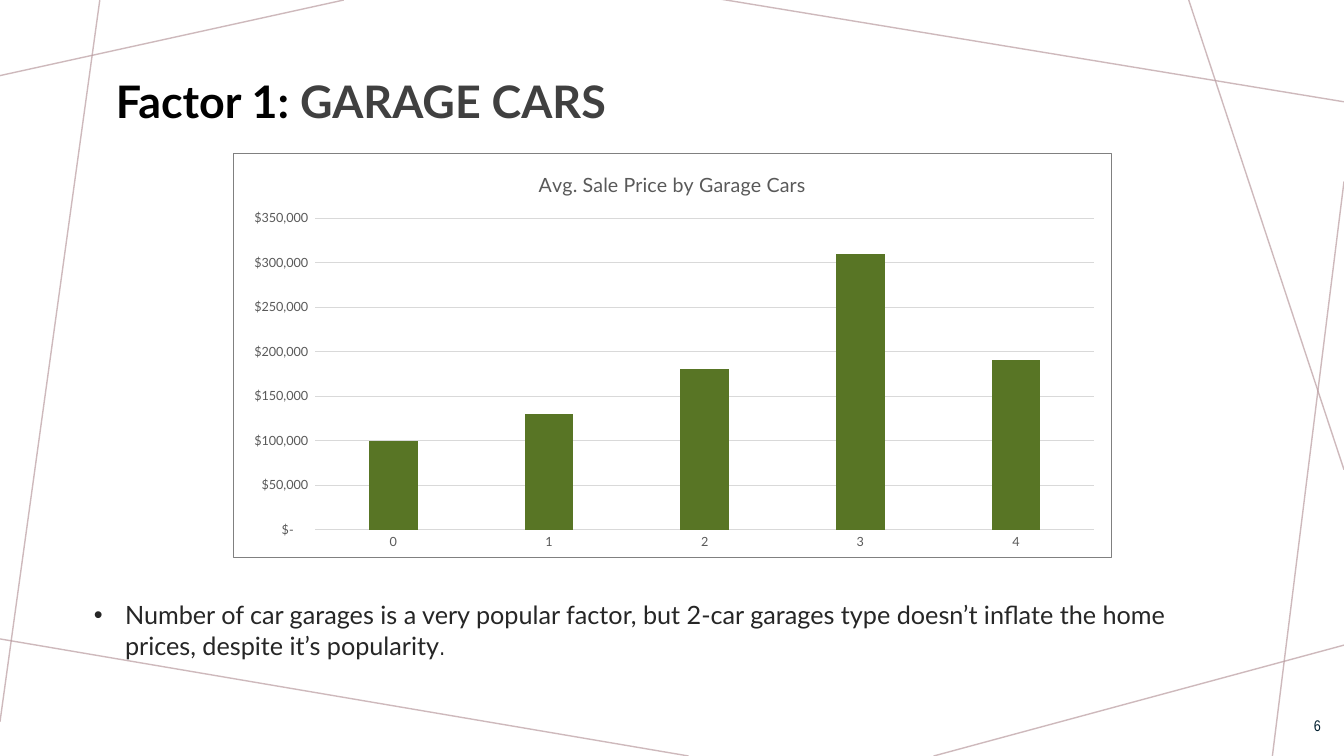
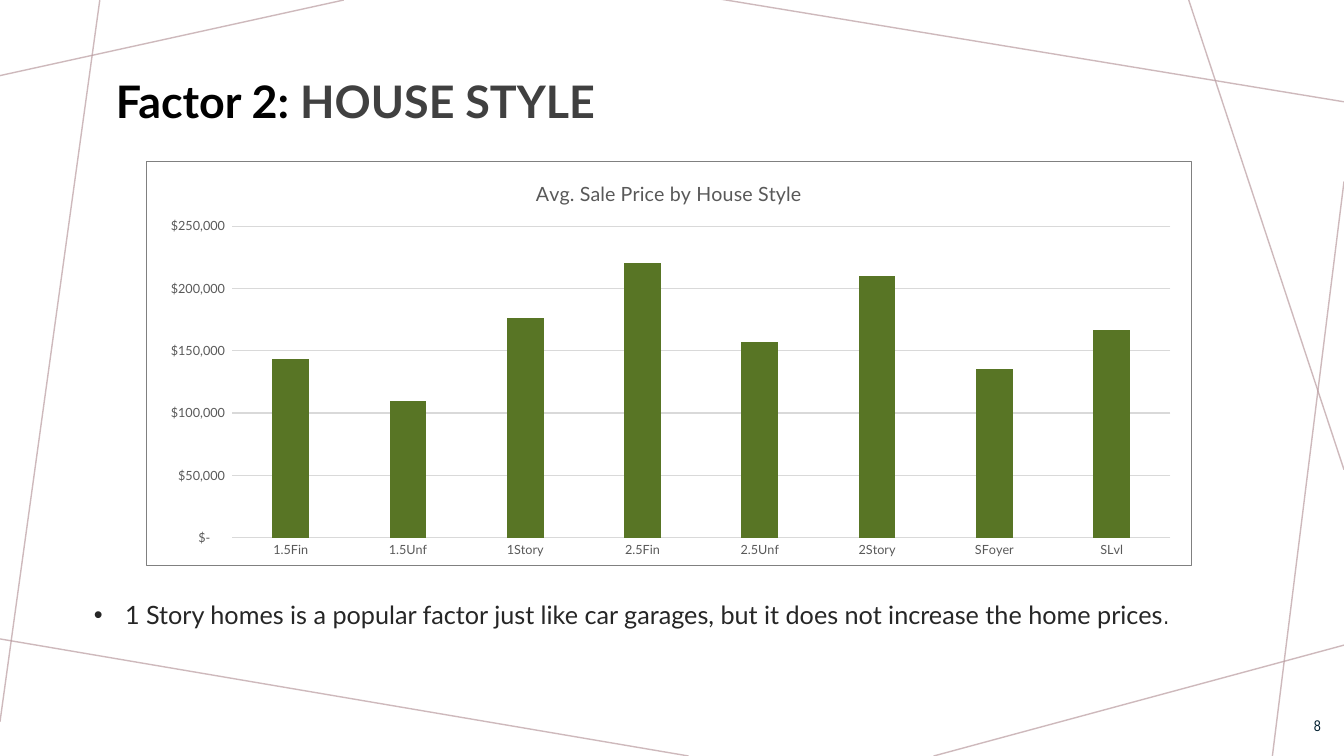
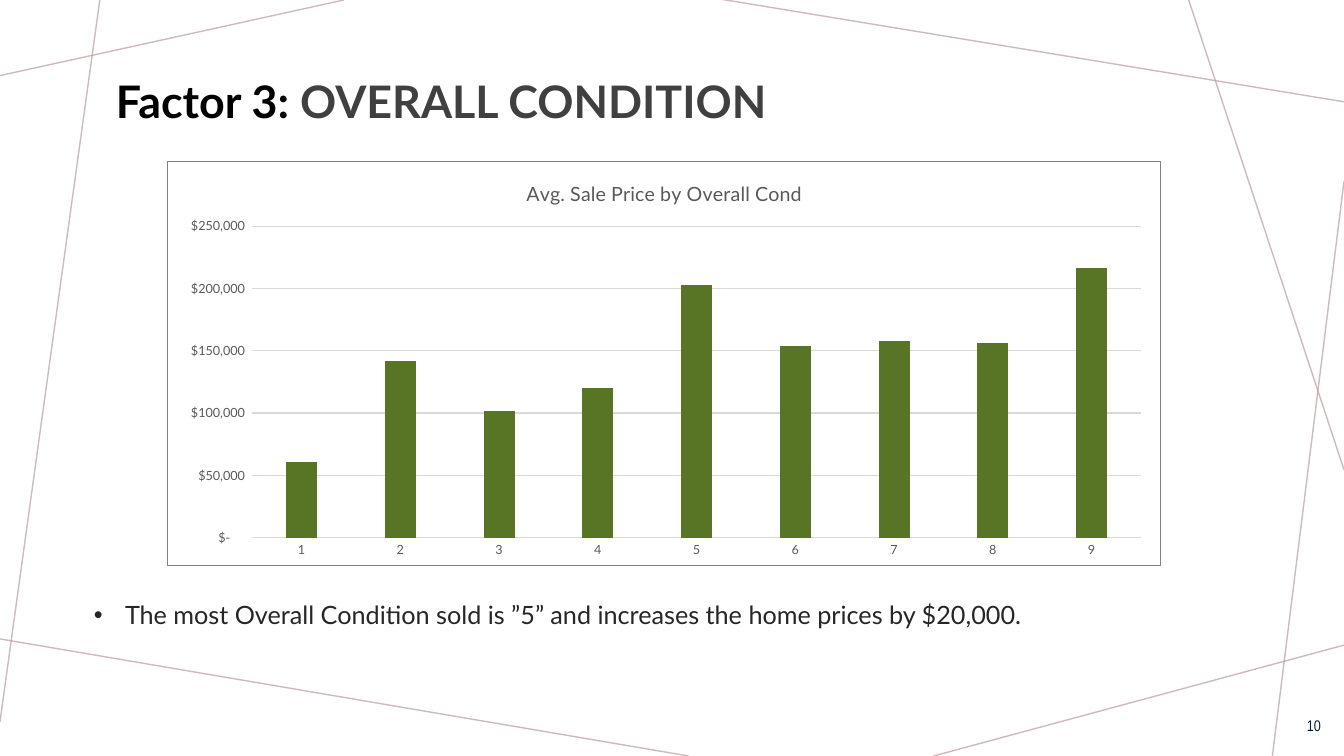
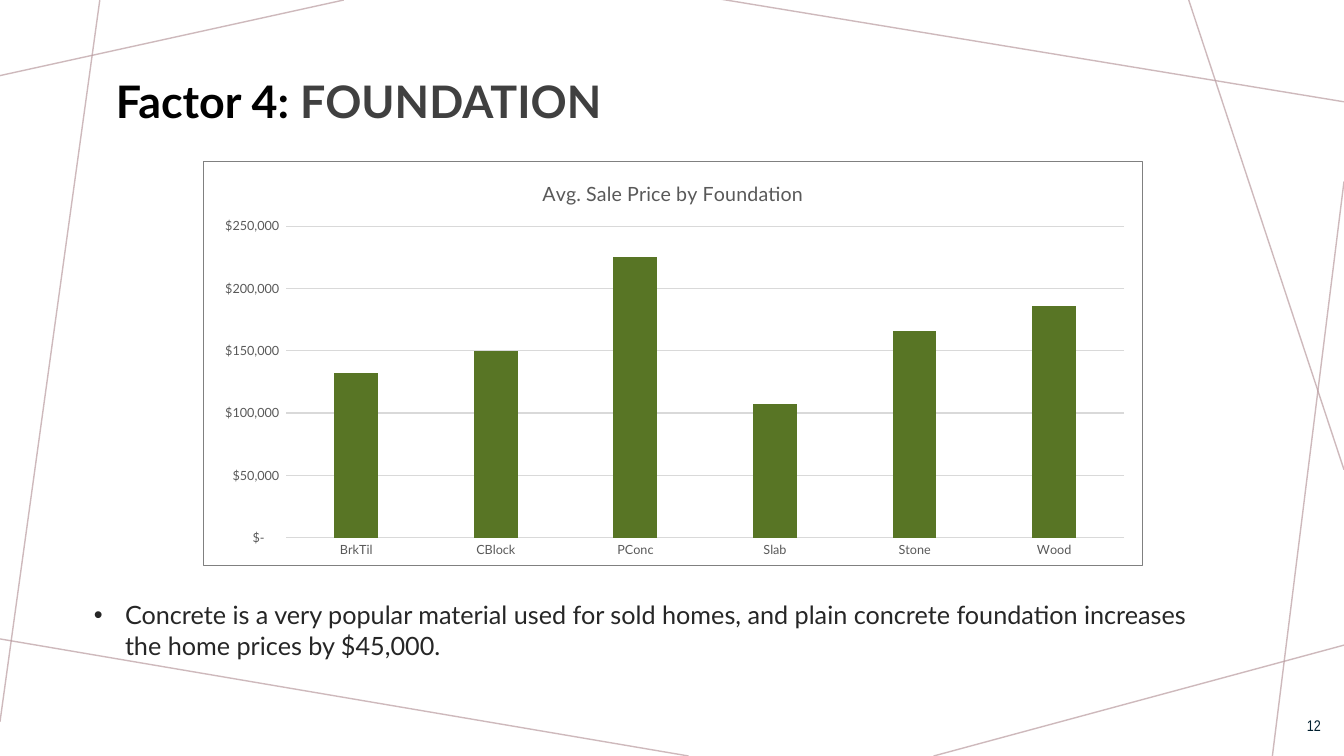
from math import ceil

from lxml.etree import SubElement
from pptx import Presentation
from pptx.chart.data import CategoryChartData
from pptx.dml.color import RGBColor
from pptx.enum.chart import XL_CHART_TYPE, XL_TICK_MARK
from pptx.enum.shapes import MSO_CONNECTOR
from pptx.enum.text import MSO_ANCHOR, MSO_AUTO_SIZE, PP_ALIGN
from pptx.oxml import parse_xml
from pptx.oxml.ns import nsdecls, qn
from pptx.util import Inches, Pt

COLORS = {
    "line": "BA9CA0", "black": "000000", "topic": "404040", "body": "262626",
    "number": "001E2E", "bar": "587525", "label": "595959", "grid": "D9D9D9",
    "border": "808080", "white": "FFFFFF",
}
FONT = "Lato"
NARROW_FONT = "Arial Narrow"
PRICE_FORMAT = '_("$"* #,##0_);_("$"* \\(#,##0\\);_("$"* "-"??_);_(@_)'
PRICE_STEP = 50000
CHART_HEIGHT = 4.02
BACKGROUND_LINES = [
    (3.41, 0, 0, 0.75), (0.99, 0, 0, 7.16), (6.83, 7.5, -0.05, 6.33),
    (13.33, 6.4, 9.26, 7.5), (13.33, 1.8, 12.62, 7.5),
    (13.33, 4.66, 11.79, 0), (13.33, 1.01, 7.14, -0.01),
]
FACTORS = [
    {"topic": "GARAGE CARS", "chart": "Garage Cars", "box": (2.31, 1.52, 8.72),
     "prices": {"0": 100000, "1": 130000, "2": 180000, "3": 310000, "4": 190000},
     "note": "Number of car garages is a very popular factor, but 2-car garages type "
             "doesn’t inflate the home prices, despite it’s popularity",
     "narrow_end": "."},
    {"topic": "HOUSE STYLE", "chart": "House Style", "box": (1.45, 1.6, 10.37),
     "prices": {"1.5Fin": 143000, "1.5Unf": 110000, "1Story": 176000, "2.5Fin": 220000,
                "2.5Unf": 157000, "2Story": 210000, "SFoyer": 135000, "SLvl": 167000},
     "note": "1 Story homes is a popular factor just like car garages, but it does not "
             "increase the home prices",
     "narrow_end": "."},
    {"topic": "OVERALL CONDITION", "chart": "Overall Cond", "box": (1.66, 1.6, 9.86),
     "prices": {"1": 61000, "2": 142000, "3": 102000, "4": 120000, "5": 203000,
                "6": 154000, "7": 158000, "8": 156000, "9": 216000},
     "note": "The most Overall Condition sold is ”5” and increases the home prices "
             "by $20,000."},
    {"topic": "FOUNDATION", "chart": "Foundation", "box": (2.01, 1.6, 9.33),
     "prices": {"BrkTil": 132000, "CBlock": 150000, "PConc": 225000,
                "Slab": 107000, "Stone": 166000, "Wood": 186000},
     "note": "Concrete is a very popular material used for sold homes, and plain concrete "
             "foundation increases the home prices by $45,000."},
]


def rgb(name):
    """Return the named colour."""
    return RGBColor.from_string(COLORS[name])


def style_font(font, size, color, name=FONT, bold=False):
    """Set face, size, colour and weight of a font."""
    font.name, font.size, font.bold = name, Pt(size), bold
    font.color.rgb = rgb(color)


def place(sp, left, top, width, height, anchor=MSO_ANCHOR.TOP):
    """Move a text shape and return its wrapped text frame."""
    sp.left, sp.top = Inches(left), Inches(top)
    sp.width, sp.height = Inches(width), Inches(height)
    tf = sp.text_frame
    tf.word_wrap, tf.auto_size = True, MSO_AUTO_SIZE.NONE
    tf.vertical_anchor = anchor
    return tf


def add_background(s, layout):
    """Draw the thin lines with the slide's shapes and move them to the layout."""
    for i, (x1, y1, x2, y2) in enumerate(BACKGROUND_LINES):
        line = s.shapes.add_connector(
            MSO_CONNECTOR.STRAIGHT, Inches(x1), Inches(y1), Inches(x2), Inches(y2))
        line.line.width = Pt(1)
        line.line.color.rgb = rgb("line")
        color = line.element.xpath(".//a:ln//a:srgbClr")[0]
        SubElement(color, qn("a:alpha"), val="70000")
        SubElement(line.element.spPr, qn("a:effectLst"))
        line.element.xpath(".//p:cNvPr")[0].set("id", str(100 + i))
        layout.shapes.element.append(line.element)


def add_title(s, number, topic):
    """Fill the title with the factor number and its topic."""
    tf = place(s.shapes.title, 1.05, 0.68, 8.48, 0.64)
    p = tf.paragraphs[0]
    p.alignment = PP_ALIGN.LEFT
    for text, color in ((f"Factor {number}: ", "black"), (topic, "topic")):
        r = p.add_run()
        r.text = text
        style_font(r.font, 32, color, bold=True)


def add_note(s, text, narrow_end=""):
    """Fill the body with one bullet, its end in the narrow font if given."""
    sp = s.placeholders[1]
    tf = place(sp, 0.83, 5.9, 11.43, 0.71)
    tf.text = text
    p = tf.paragraphs[0]
    p.space_before = Pt(0)
    style_font(p.runs[0].font, 18, "body")
    if narrow_end:
        r = p.add_run()
        r.text = narrow_end
        style_font(r.font, 18, "body", NARROW_FONT)
    indent = Inches(0.31)
    ppr = sp.element.xpath(".//a:pPr")[0]
    ppr.set("marL", str(indent))
    ppr.set("indent", str(-indent))


def add_number(s, number):
    """Write the page number in the lower right corner."""
    sp = s.shapes.add_textbox(0, 0, 0, 0)
    tf = place(sp, 12.69, 7, 0.51, 0.4, MSO_ANCHOR.MIDDLE)
    tf.text = str(number)
    p = tf.paragraphs[0]
    p.alignment = PP_ALIGN.RIGHT
    style_font(p.runs[0].font, 11, "number", NARROW_FONT)


def frame_chart(chart, width):
    """Give the chart a border and a fixed plot area."""
    chart.element.find(qn("c:chart")).addnext(parse_xml(
        f'<c:spPr {nsdecls("c", "a")}>'
        f'<a:solidFill><a:srgbClr val="{COLORS["white"]}"/></a:solidFill>'
        f'<a:ln w="{Pt(0.75)}"><a:solidFill><a:srgbClr val="{COLORS["border"]}"/>'
        '</a:solidFill></a:ln></c:spPr>'))
    left = 0.02 + 0.64 / width
    area = {"x": left, "y": 0.64 / CHART_HEIGHT, "w": 0.98 - left, "h": 3.1 / CHART_HEIGHT}
    plot_area = chart.element.xpath(".//c:plotArea")[0]
    for old in plot_area.findall(qn("c:layout")):
        plot_area.remove(old)
    sizes = "".join(f'<c:{k} val="{v:.4f}"/>' for k, v in area.items())
    plot_area.insert(0, parse_xml(
        f'<c:layout {nsdecls("c")}><c:manualLayout><c:layoutTarget val="inner"/>'
        f'<c:xMode val="edge"/><c:yMode val="edge"/>{sizes}</c:manualLayout></c:layout>'))


def add_price_chart(s, subject, prices, box):
    """Add a column chart of average sale prices."""
    left, top, width = box
    data = CategoryChartData(number_format=PRICE_FORMAT)
    data.categories = list(prices)
    data.add_series("Series 1", list(prices.values()))
    chart = s.shapes.add_chart(
        XL_CHART_TYPE.COLUMN_CLUSTERED, Inches(left), Inches(top),
        Inches(width), Inches(CHART_HEIGHT), data).chart
    style_font(chart.font, 10, "black", NARROW_FONT)
    chart.has_legend = False
    chart.has_title = True
    tf = chart.chart_title.text_frame
    tf.text = f"Avg. Sale Price by {subject}"
    style_font(tf.paragraphs[0].runs[0].font, 14, "label")
    chart.chart_title.include_in_layout = False

    plot = chart.plots[0]
    plot.gap_width, plot.overlap, plot.vary_by_categories = 219, -27, False
    fill = plot.series[0].format.fill
    fill.solid()
    fill.fore_color.rgb = rgb("bar")

    cat, val = chart.category_axis, chart.value_axis
    for axis in (cat, val):
        axis.major_tick_mark = axis.minor_tick_mark = XL_TICK_MARK.NONE
        style_font(axis.tick_labels.font, 9, "label")
    val.format.line.fill.background()
    val.minimum_scale, val.major_unit = 0, PRICE_STEP
    val.maximum_scale = ceil(max(prices.values()) / PRICE_STEP) * PRICE_STEP
    val.tick_labels.number_format = PRICE_FORMAT
    val.tick_labels.number_format_is_linked = False
    for line in (cat.format.line, val.major_gridlines.format.line):
        line.width = Pt(0.75)
        line.color.rgb = rgb("grid")
    frame_chart(chart, width)


def main():
    """Build the slides and save them."""
    prs = Presentation()
    prs.slide_width, prs.slide_height = Inches(13.33), Inches(7.5)
    layout = prs.slide_layouts[1]
    for i, factor in enumerate(FACTORS, 1):
        s = prs.slides.add_slide(layout)
        if i == 1:
            add_background(s, layout)
        add_title(s, i, factor["topic"])
        add_price_chart(s, factor["chart"], factor["prices"], factor["box"])
        add_note(s, factor["note"], factor.get("narrow_end", ""))
        add_number(s, 4 + 2 * i)
    prs.save("out.pptx")


if __name__ == "__main__":
    main()
